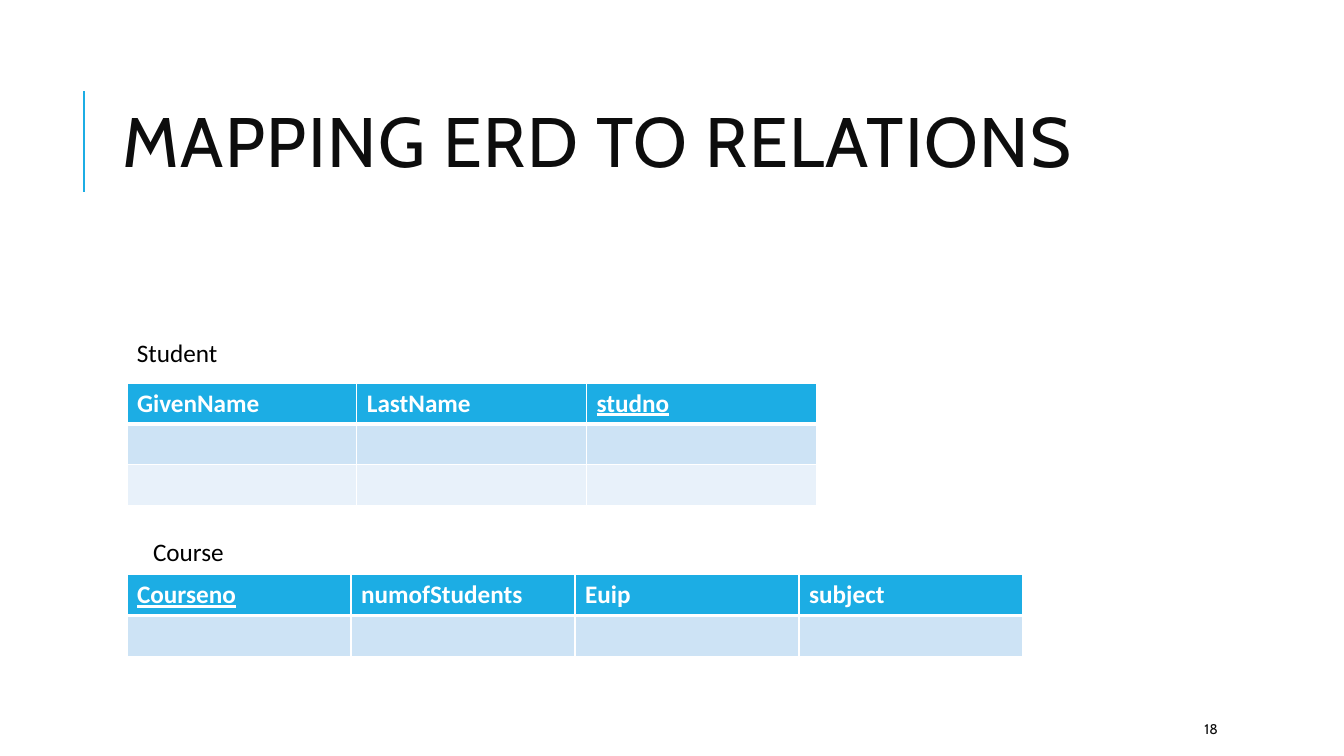
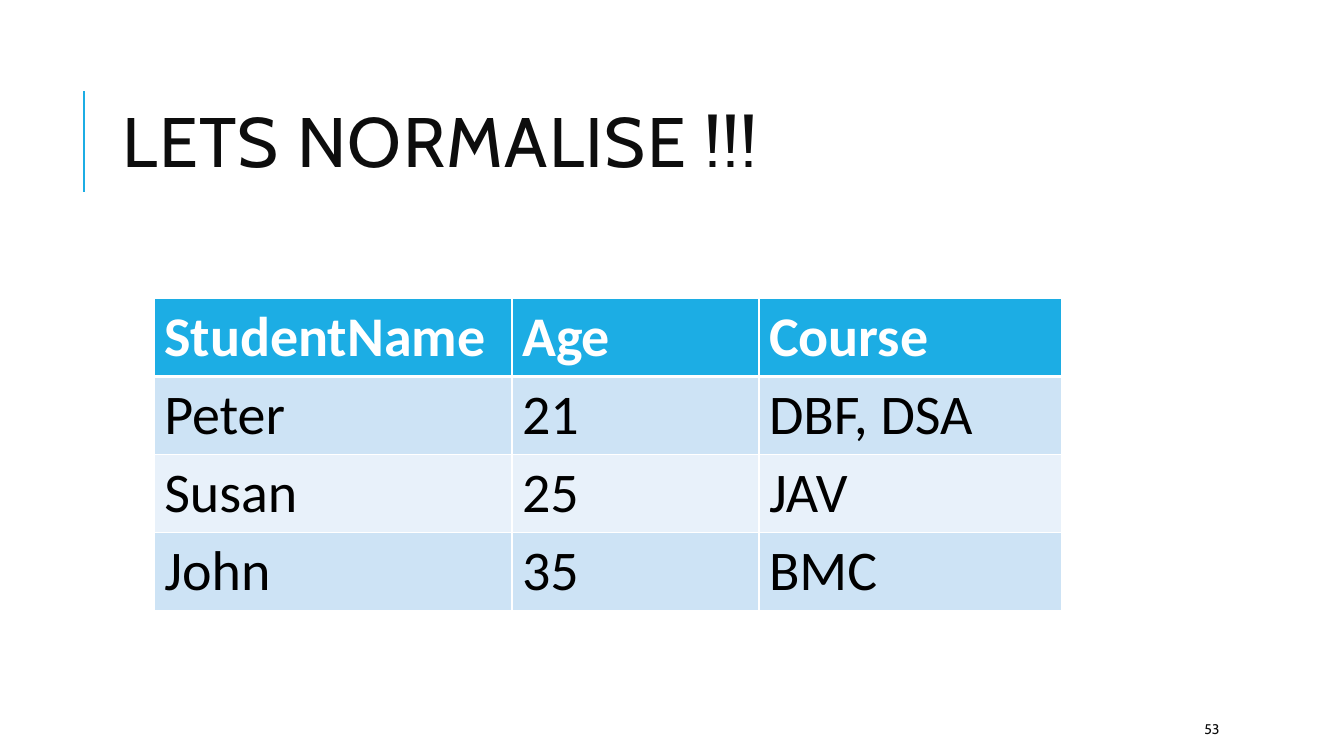
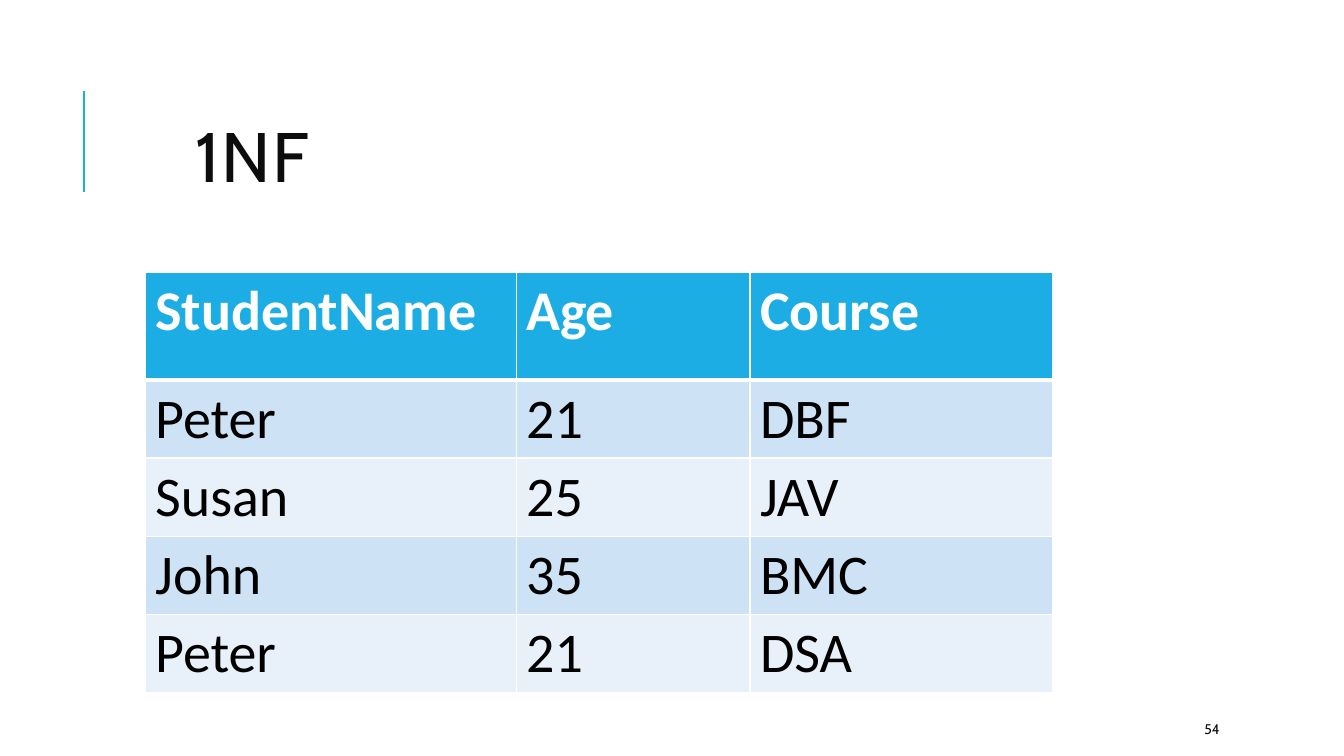
from lxml import etree
from pptx import Presentation
from pptx.dml.color import RGBColor
from pptx.enum.shapes import MSO_CONNECTOR
from pptx.enum.text import MSO_ANCHOR
from pptx.oxml.ns import qn
from pptx.util import Pt

STRAIGHT = MSO_CONNECTOR.STRAIGHT
TOP, MIDDLE = MSO_ANCHOR.TOP, MSO_ANCHOR.MIDDLE

COLORS = {
    "accent": "1CADE4",
    "title": "0D0D0D",
    "text": "000000",
    "white": "FFFFFF",
    "band_dark": "CDE3F5",
    "band_light": "E8F1FA",
}
HEADING_FONT, BODY_FONT = "Cabin", "Calibri"
TITLE_AREA = (80.64, 46.08, 765.36, 118.08)
NUMBER_AREA = (853.2, 509.76, 76.32, 21.6)


def rgb(name):
    return RGBColor.from_string(COLORS[name])


def add_span(para, text, size, font, color, bold=False, underline=False):
    span = para.add_run()
    span.text = text
    span.font.size = Pt(size)
    span.font.name = font
    span.font.color.rgb = rgb(color)
    span.font.bold = bold
    span.font.underline = underline
    return span


def add_text(page, area, text, size, font, color, anchor=TOP):
    box = page.shapes.add_textbox(*map(Pt, area))
    frame = box.text_frame
    frame.word_wrap = True
    frame.vertical_anchor = anchor
    para = frame.paragraphs[0]
    return para, add_span(para, text, size, font, color)


def add_accent_line(page):
    line = page.shapes.add_connector(STRAIGHT, Pt(60), Pt(136.8), Pt(60), Pt(64.8))
    line.line.color.rgb = rgb("accent")
    line.line.width = Pt(1.5)
    etree.SubElement(line._element.spPr, qn("a:effectLst"))


def add_page(deck, title, number, title_area=TITLE_AREA):
    page = deck.slides.add_slide(deck.slide_layouts[6])
    add_accent_line(page)
    para, span = add_text(page, title_area, title, 50, HEADING_FONT, "title", MIDDLE)
    para.line_spacing = 0.8
    span.font._element.set("spc", "100")
    add_text(page, NUMBER_AREA, str(number), 10, HEADING_FONT, "title", MIDDLE)
    return page


def set_borders(cell, top, bottom):
    properties = cell._tc.get_or_add_tcPr()
    widths = {"a:lnL": 1, "a:lnR": 1, "a:lnT": top, "a:lnB": bottom}
    for position, (tag, width) in enumerate(widths.items()):
        border = etree.Element(qn(tag), w=str(Pt(width)))
        fill = etree.SubElement(border, qn("a:solidFill"))
        etree.SubElement(fill, qn("a:srgbClr"), val=COLORS["white"])
        properties.insert(position, border)


def add_grid(page, left, top, widths, heights, rows, size, keys=()):
    frame = page.shapes.add_table(
        len(heights), len(widths), Pt(left), Pt(top), Pt(sum(widths)), Pt(sum(heights))
    )
    table = frame.table
    for column, width in zip(table.columns, widths):
        column.width = Pt(width)
    for row, height in zip(table.rows, heights):
        row.height = Pt(height)
    for r, texts in enumerate(rows):
        header = r == 0
        fill = "accent" if header else ("band_light", "band_dark")[r % 2]
        for c, text in enumerate(texts):
            cell = table.cell(r, c)
            cell.fill.solid()
            cell.fill.fore_color.rgb = rgb(fill)
            set_borders(cell, 3 if r == 1 else 1, 3 if header else 1)
            if text:
                add_span(
                    cell.text_frame.paragraphs[0], text, size, BODY_FONT,
                    "white" if header else "text", header, text in keys,
                )


def add_relation(page, label, label_area, top, width, fields, key, empty_rows):
    add_text(page, label_area, label, 18, BODY_FONT, "text")
    count = len(fields)
    rows = [fields] + [[""] * count] * empty_rows
    add_grid(page, 90.72, top, [width / count] * count, [29.2] * len(rows), rows, 18, [key])


def main():
    deck = Presentation()
    deck.slide_width, deck.slide_height = Pt(960), Pt(540)

    page = add_page(deck, "MAPPING ERD TO RELATIONS", 18)
    add_relation(page, "Student", (90.72, 237.6, 181.44, 28.8), 273.6, 492.48,
                 ["GivenName", "LastName", "studno"], "studno", 2)
    add_relation(page, "Course", (102.24, 379.44, 132.48, 28.8), 410.4, 640.08,
                 ["Courseno", "numofStudents", "Euip", "subject"], "Courseno", 1)

    header = ["StudentName", "Age", "Course"]
    susan, john = ["Susan", "25", "JAV"], ["John", "35", "BMC"]

    page = add_page(deck, "LETS NORMALISE !!!", 53)
    rows = [header, ["Peter", "21", "DBF, DSA"], susan, john]
    add_grid(page, 110.16, 213.12, [255.6, 176.4, 216], [55.8] * 4, rows, 40)

    page = add_page(deck, "1NF", 54, (132.48, 79.92, 648, 72.72))
    rows = [header, ["Peter", "21", "DBF"], susan, john, ["Peter", "21", "DSA"]]
    add_grid(page, 103.68, 194.4, [264.96, 167.04, 216], [77] + [55.8] * 4, rows, 40)

    deck.save("out.pptx")


if __name__ == "__main__":
    main()
